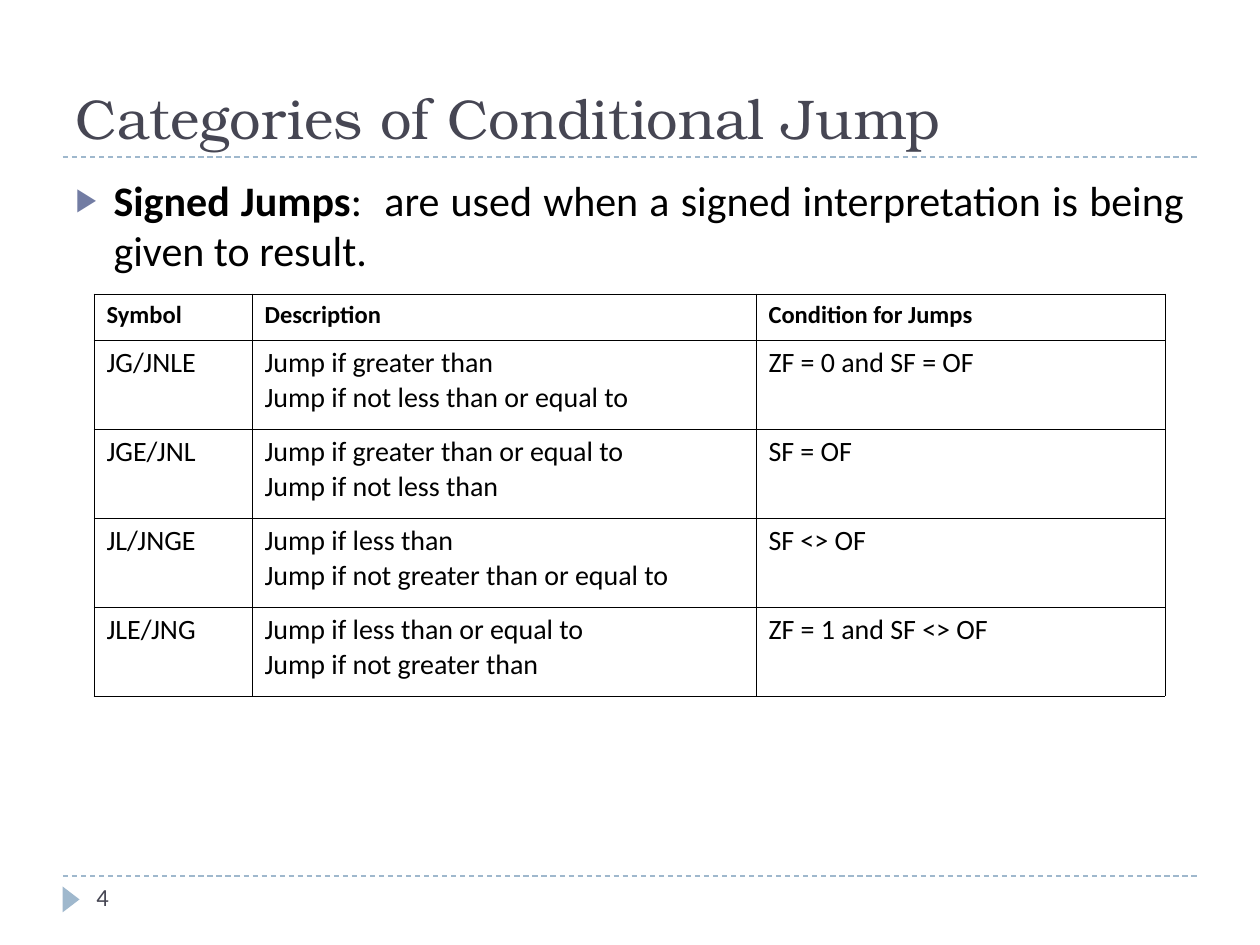
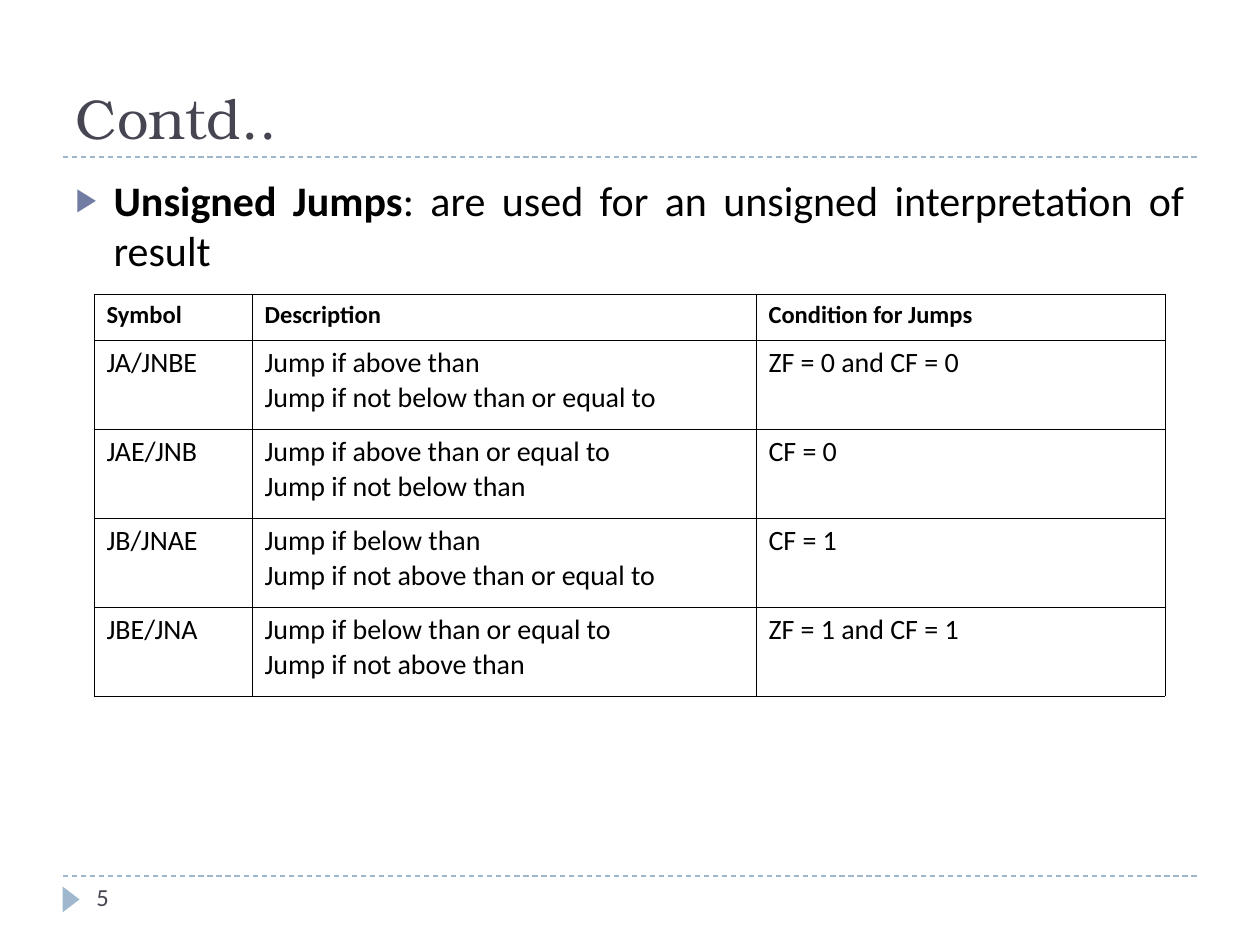
from dataclasses import dataclass

from lxml import etree
from pptx import Presentation
from pptx import util as u
from pptx.dml.color import RGBColor
from pptx.enum import dml, shapes, text
from pptx.oxml import ns

PX = 914400 // 126  # EMU in one px
BODY_FONT, TITLE_FONT = "Calibri", "TeX Gyre Bonum"
BLACK, SLATE, PALE_BLUE, BULLET_BLUE = "000000", "464653", "9FB8CD", "727CA3"
RULE_LEFT, RULE_RIGHT = 63, 1197
RULE_YS = (157, 876)
COL_WIDTHS = (158, 504, 409)
HEADER_HEIGHT, ROW_HEIGHT = 46, 89
HEADERS = ("Symbol", "Description", "Condition for Jumps")


@dataclass
class Jump:
    symbol: str
    description: str
    condition: str


@dataclass
class JumpSlide:
    number: int
    title: str
    term: str
    meaning: str
    jumps: list[Jump]


SLIDES = [
    JumpSlide(
        4, "Categories of Conditional Jump", "Signed Jumps",
        ":  are used when a signed interpretation is being given to result.",
        [
            Jump("JG/JNLE", "Jump if greater than\nJump if not less than or equal to",
                 "ZF = 0 and SF = OF"),
            Jump("JGE/JNL", "Jump if greater than or equal to\nJump if not less than",
                 "SF = OF"),
            Jump("JL/JNGE", "Jump if less than\nJump if not greater than or equal to",
                 "SF <> OF"),
            Jump("JLE/JNG", "Jump if less than or equal to\nJump if not greater than",
                 "ZF = 1 and SF <> OF"),
        ]),
    JumpSlide(
        5, "Contd..", "Unsigned Jumps",
        ": are used for an unsigned interpretation of result",
        [
            Jump("JA/JNBE", "Jump if above than\nJump if not below than or equal to",
                 "ZF = 0 and CF = 0"),
            Jump("JAE/JNB", "Jump if above than or equal to\nJump if not below than",
                 "CF = 0"),
            Jump("JB/JNAE", "Jump if below than\nJump if not above than or equal to",
                 "CF = 1"),
            Jump("JBE/JNA", "Jump if below than or equal to\nJump if not above than",
                 "ZF = 1 and CF = 1"),
        ]),
]


# Helpers
def px(*lengths: int) -> list[u.Emu]:
    return [u.Emu(n * PX) for n in lengths]


def rgb(color: str) -> RGBColor:
    return RGBColor.from_string(color)


def sub(parent, tag: str, **attrs: str):
    return etree.SubElement(parent, ns.qn(tag), attrs)


def format_runs(tf, size: int, color: str = BLACK, name: str = BODY_FONT,
                bold: bool = False) -> None:
    for p in tf.paragraphs:
        for r in p.runs:
            r.font.size, r.font.name, r.font.bold = u.Pt(size), name, bold
            r.font.color.rgb = rgb(color)


def place(sp, left: int, top: int, width: int, height: int) -> None:
    sp.left, sp.top, sp.width, sp.height = px(left, top, width, height)


# Shared frame: dashed rules, page marker and number
def draw_frame(s, number: int) -> None:
    for y in RULE_YS:
        rule = s.shapes.add_connector(
            shapes.MSO_CONNECTOR.STRAIGHT, *px(RULE_LEFT, y, RULE_RIGHT, y))
        rule.line.color.rgb = rgb(PALE_BLUE)
        rule.line.width = u.Pt(0.75)
        rule.line.dash_style = dml.MSO_LINE.DASH
        sub(rule._element.spPr, "a:effectLst")

    marker = s.shapes.add_shape(
        shapes.MSO_SHAPE.ISOSCELES_TRIANGLE, *px(58, 891, 26, 17))
    marker.rotation = 90
    marker.shadow.inherit = False
    marker.fill.solid()
    marker.fill.fore_color.rgb = rgb(PALE_BLUE)
    marker.line.fill.background()

    tf = s.shapes.add_textbox(*px(84, 876, 273, 50)).text_frame
    tf.word_wrap = True
    tf.text = str(number)
    format_runs(tf, 14, SLATE)


# Title and the bulleted definition
def draw_title(s, title: str) -> None:
    sp = s.shapes.title
    place(sp, 63, 21, 1134, 136)
    tf = sp.text_frame
    tf.text = title
    tf.auto_size = text.MSO_AUTO_SIZE.NONE
    tf.vertical_anchor = text.MSO_ANCHOR.BOTTOM
    tf.paragraphs[0].alignment = text.PP_ALIGN.LEFT
    format_runs(tf, 32, SLATE, TITLE_FONT)


def draw_definition(s, term: str, meaning: str) -> None:
    sp = s.placeholders[1]
    place(sp, 63, 168, 1134, 116)
    tf = sp.text_frame
    tf.auto_size = text.MSO_AUTO_SIZE.NONE
    p = tf.paragraphs[0]
    p.alignment = text.PP_ALIGN.JUSTIFY
    p.space_before = u.Pt(0)
    pPr = p._p.get_or_add_pPr()
    indent = 38 * PX
    pPr.set("marL", str(indent))
    pPr.set("indent", str(-indent))
    sub(sub(pPr, "a:buClr"), "a:srgbClr", val=BULLET_BLUE)
    sub(pPr, "a:buSzPct", val="76000")
    sub(pPr, "a:buChar", char="▶")
    for words in (term, meaning):
        p.add_run().text = words
    format_runs(tf, 24)
    p.runs[0].font.bold = True


# Table of jumps
def draw_borders(cell) -> None:
    tcPr = cell._tc.get_or_add_tcPr()
    for i, side in enumerate(("a:lnL", "a:lnR", "a:lnT", "a:lnB")):
        ln = sub(tcPr, side, w=str(u.Pt(0.45)))
        sub(sub(ln, "a:solidFill"), "a:srgbClr", val=BLACK)
        tcPr.insert(i, ln)


def draw_table(s, jumps: list[Jump]) -> None:
    rows = [HEADERS] + [(j.symbol, j.description, j.condition) for j in jumps]
    heights = [HEADER_HEIGHT] + [ROW_HEIGHT] * len(jumps)
    table = s.shapes.add_table(
        len(rows), len(COL_WIDTHS),
        *px(94, 294, sum(COL_WIDTHS), sum(heights))).table
    table.first_row = table.horz_banding = False
    for column, width in zip(table.columns, px(*COL_WIDTHS)):
        column.width = width
    for row, height, words in zip(table.rows, px(*heights), rows):
        row.height = height
        header = words is HEADERS
        for cell, content in zip(row.cells, words):
            cell.text_frame.text = content
            format_runs(cell.text_frame, 14 if header else 16, bold=header)
            cell.fill.background()
            draw_borders(cell)


def main() -> None:
    prs = Presentation()
    prs.slide_width, prs.slide_height = px(1260, 945)
    for page in SLIDES:
        s = prs.slides.add_slide(prs.slide_layouts[1])
        draw_frame(s, page.number)
        draw_title(s, page.title)
        draw_definition(s, page.term, page.meaning)
        draw_table(s, page.jumps)
    prs.save("out.pptx")


if __name__ == "__main__":
    main()
